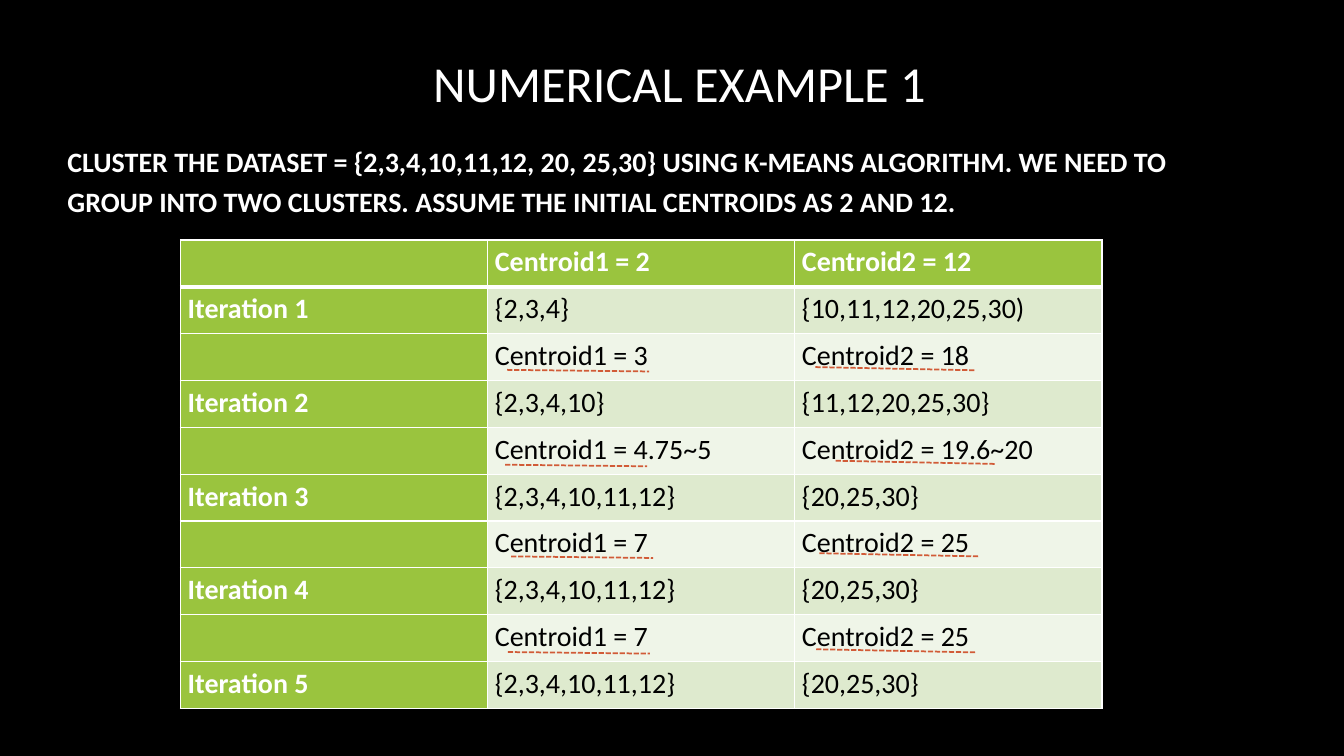
from dataclasses import dataclass

from lxml.etree import SubElement
from pptx import Presentation
from pptx.dml.color import RGBColor
from pptx.enum.dml import MSO_LINE
from pptx.enum.shapes import MSO_CONNECTOR as Connector
from pptx.enum.text import MSO_ANCHOR as Anchor, PP_ALIGN as Align
from pptx.oxml import parse_xml
from pptx.oxml.ns import nsdecls, qn
from pptx.slide import Slide
from pptx.table import _Cell as Cell
from pptx.text.text import _Paragraph as Paragraph
from pptx.util import Cm, Pt

BLACK = RGBColor(0x00, 0x00, 0x00)
WHITE = RGBColor(0xFF, 0xFF, 0xFF)
GREEN = RGBColor(0x9A, 0xC4, 0x3E)
SET_BAND = RGBColor(0xDE, 0xEA, 0xCE)
CENTROID_BAND = RGBColor(0xEF, 0xF5, 0xE8)
RUST = RGBColor(0xD1, 0x5B, 0x37)
FONT = "Calibri"

COLUMN_WIDTH = 7.74
ROW_HEIGHT = 1.18
ROWS = [
    ("", "Centroid1 = 2", "Centroid2 = 12"),
    ("Iteration 1", "{2,3,4}", "{10,11,12,20,25,30)"),
    ("", "Centroid1 = 3", "Centroid2 = 18"),
    ("Iteration 2", "{2,3,4,10}", "{11,12,20,25,30}"),
    ("", "Centroid1 = 4.75~5", "Centroid2 = 19.6~20"),
    ("Iteration 3", "{2,3,4,10,11,12}", "{20,25,30}"),
    ("", "Centroid1 = 7", "Centroid2 = 25"),
    ("Iteration 4", "{2,3,4,10,11,12}", "{20,25,30}"),
    ("", "Centroid1 = 7", "Centroid2 = 25"),
    ("Iteration 5", "{2,3,4,10,11,12}", "{20,25,30}"),
]


@dataclass(frozen=True)
class TextBlock:
    text: str
    left: float
    top: float
    width: float
    height: float
    size: int
    bold: bool
    align: Align
    anchor: Anchor
    line_spacing: float
    space_before: int


@dataclass(frozen=True)
class Underline:
    left: float
    top: float
    length: float
    drop: float


TEXT_BLOCKS = [
    TextBlock("NUMERICAL EXAMPLE 1", 2.74, 0.64, 28.78, 3.07,
              36, False, Align.CENTER, Anchor.MIDDLE, 0.9, 0),
    TextBlock("CLUSTER THE DATASET = {2,3,4,10,11,12, 20, 25,30} USING K-MEANS "
              "ALGORITHM. WE NEED TO GROUP INTO TWO CLUSTERS. ASSUME THE INITIAL "
              "CENTROIDS AS 2 AND 12.", 1.45, 3.35, 29.87, 12.75,
              20, True, Align.LEFT, Anchor.TOP, 1.2, 10),
]
FIRST_STARTS = [(12.78, 9.32), (12.73, 11.71), (12.88, 14.02), (12.8, 16.43)]
SECOND_STARTS = [(20.55, 9.25), (21.06, 11.61), (20.65, 13.94), (20.57, 16.36)]
UNDERLINES = [
    *(Underline(left, top, 3.58, 0.04) for left, top in FIRST_STARTS),
    *(Underline(left, top, 4.01, 0.08) for left, top in SECOND_STARTS),
]


def style_paragraph(para: Paragraph, size: int, bold: bool, color: RGBColor,
                    align: Align, line_spacing: float) -> None:
    para.alignment = align
    para.line_spacing = line_spacing
    for font in (para.font, *(span.font for span in para.runs)):
        font.name = FONT
        font.size = Pt(size)
        font.bold = bold
        font.color.rgb = color


def add_text(page: Slide, block: TextBlock) -> None:
    box = page.shapes.add_textbox(Cm(block.left), Cm(block.top),
                                  Cm(block.width), Cm(block.height))
    frame = box.text_frame
    frame.word_wrap = True
    frame.vertical_anchor = block.anchor
    frame.text = block.text
    para = frame.paragraphs[0]
    para.space_before = Pt(block.space_before)
    style_paragraph(para, block.size, block.bold, WHITE,
                    block.align, block.line_spacing)


def set_borders(cell: Cell, top: int, bottom: int) -> None:
    properties = cell._tc.get_or_add_tcPr()
    widths = {"lnL": 1, "lnR": 1, "lnT": top, "lnB": bottom}
    for index, (side, width) in enumerate(widths.items()):
        border = parse_xml(
            f'<a:{side} {nsdecls("a")} w="{Pt(width)}"><a:solidFill>'
            f'<a:srgbClr val="{WHITE}"/></a:solidFill></a:{side}>')
        properties.insert(index, border)


def add_iterations_table(page: Slide) -> None:
    columns = len(ROWS[0])
    table = page.shapes.add_table(
        len(ROWS), columns, Cm(4.55), Cm(6.05),
        Cm(COLUMN_WIDTH * columns), Cm(ROW_HEIGHT * len(ROWS))).table
    table.first_col = True
    for column in table.columns:
        column.width = Cm(COLUMN_WIDTH)
    for row_index, texts in enumerate(ROWS):
        table.rows[row_index].height = Cm(ROW_HEIGHT)
        band = SET_BAND if row_index % 2 else CENTROID_BAND
        for column_index, text in enumerate(texts):
            cell = table.cell(row_index, column_index)
            heading = row_index == 0 or column_index == 0
            cell.margin_left = cell.margin_right = Cm(0.18)
            cell.margin_top = cell.margin_bottom = Cm(0)
            cell.fill.solid()
            cell.fill.fore_color.rgb = GREEN if heading else band
            cell.text_frame.text = text
            style_paragraph(cell.text_frame.paragraphs[0], 20, heading,
                            WHITE if heading else BLACK, Align.JUSTIFY, 1.15)
            set_borders(cell, top=3 if row_index == 1 else 1,
                        bottom=3 if row_index == 0 else 1)


def add_underline(page: Slide, underline: Underline) -> None:
    connector = page.shapes.add_connector(
        Connector.STRAIGHT, Cm(underline.left), Cm(underline.top),
        Cm(underline.left + underline.length), Cm(underline.top + underline.drop))
    connector.line.color.rgb = RUST
    connector.line.width = Pt(1.25)
    connector.line.dash_style = MSO_LINE.SQUARE_DOT
    SubElement(connector._element.spPr, qn("a:effectLst"))


def main() -> None:
    deck = Presentation()
    deck.slide_width, deck.slide_height = Cm(33.87), Cm(19.05)
    page = deck.slides.add_slide(deck.slide_layouts[6])
    page.background.fill.solid()
    page.background.fill.fore_color.rgb = BLACK
    for block in TEXT_BLOCKS:
        add_text(page, block)
    add_iterations_table(page)
    for underline in UNDERLINES:
        add_underline(page, underline)
    deck.save("out.pptx")


if __name__ == "__main__":
    main()
